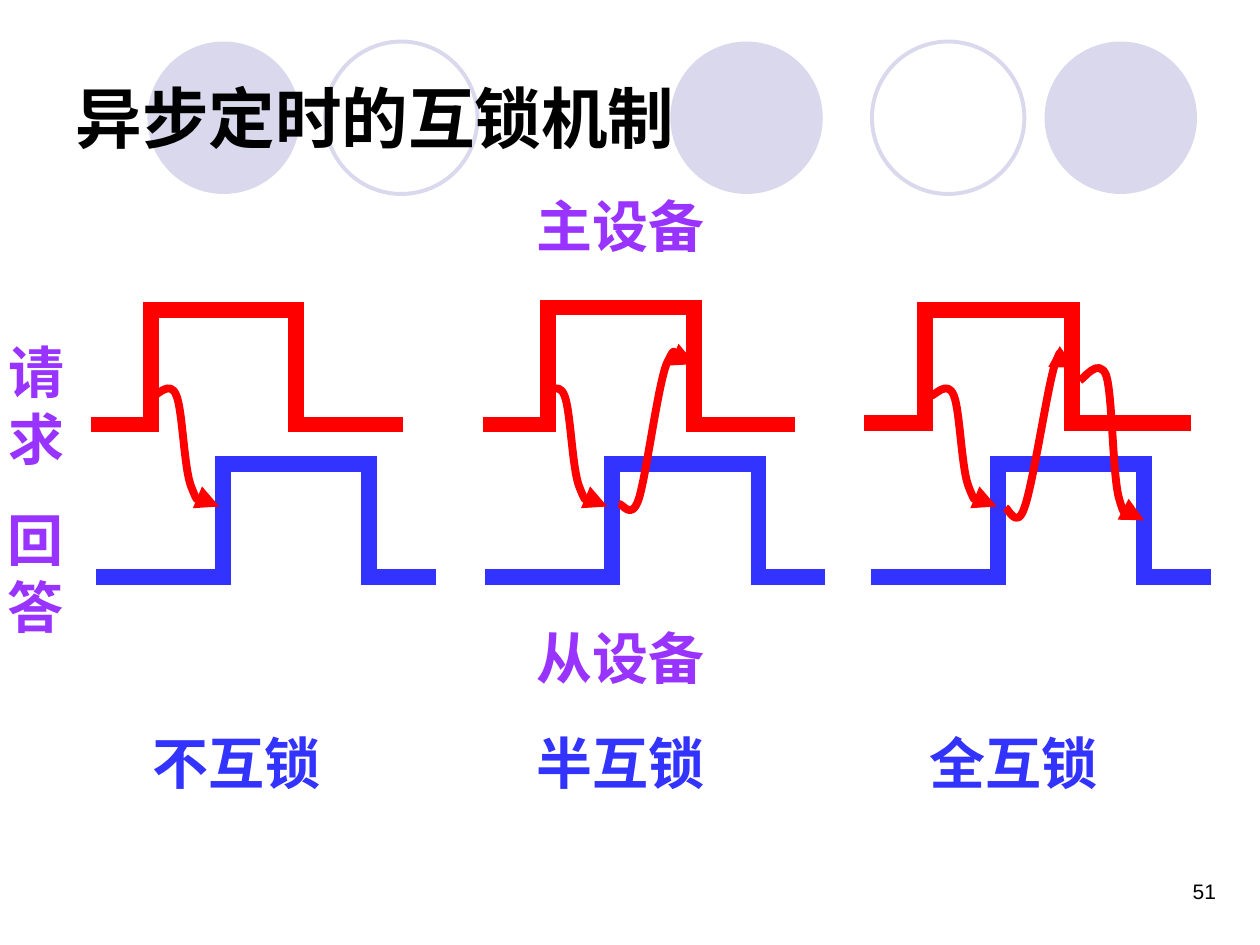
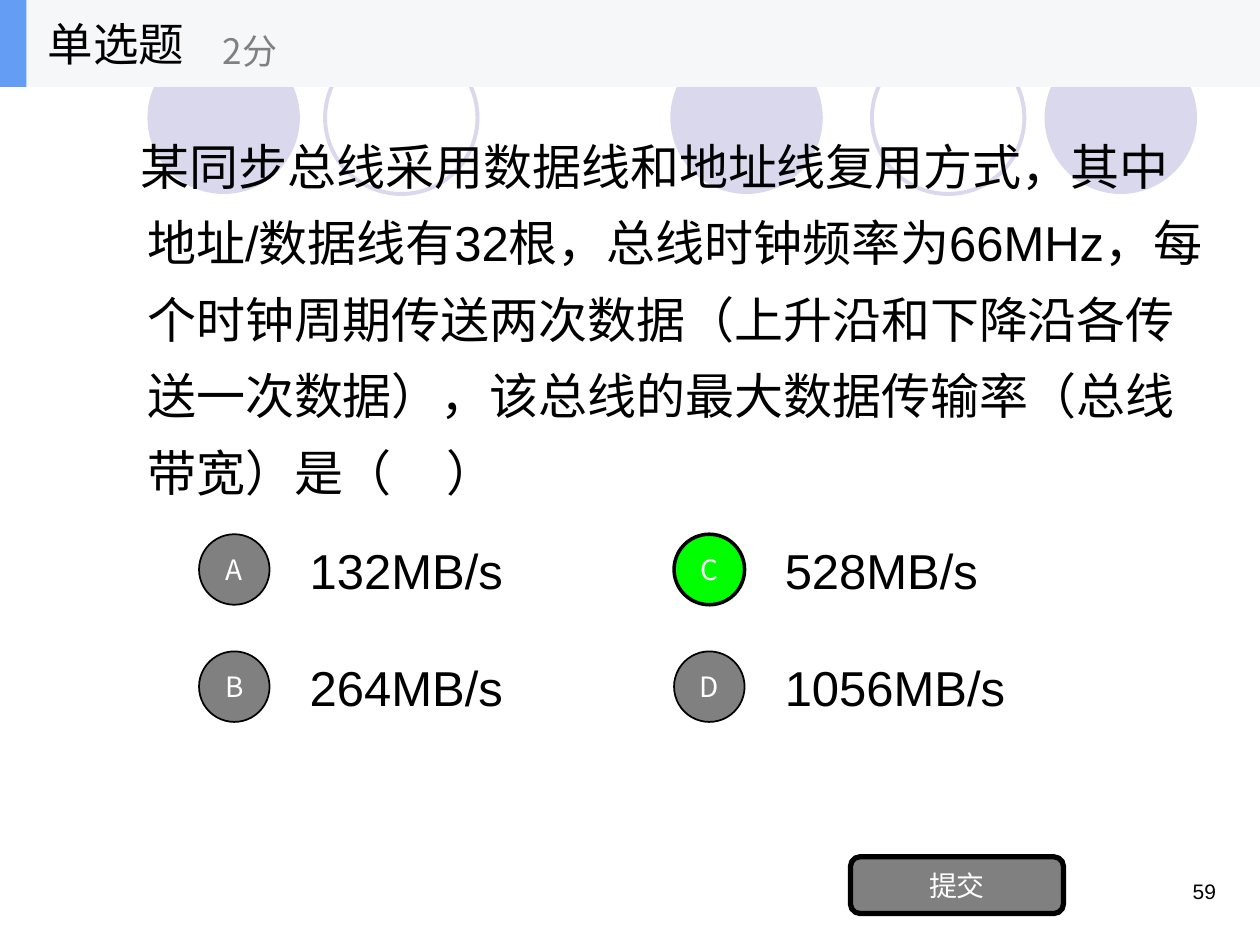
from lxml import etree
from pptx import Presentation
from pptx.dml.color import RGBColor
from pptx.enum.shapes import MSO_CONNECTOR, MSO_SHAPE
from pptx.enum.text import MSO_ANCHOR, PP_ALIGN
from pptx.oxml.ns import qn
from pptx.util import Inches, Pt

LEFT, CENTER, RIGHT = PP_ALIGN.LEFT, PP_ALIGN.CENTER, PP_ALIGN.RIGHT
TOP, MIDDLE = MSO_ANCHOR.TOP, MSO_ANCHOR.MIDDLE
STRAIGHT = MSO_CONNECTOR.STRAIGHT
OVAL, RECT, ROUNDED = MSO_SHAPE.OVAL, MSO_SHAPE.RECTANGLE, MSO_SHAPE.ROUNDED_RECTANGLE

BLACK, WHITE, GRAY, GREEN = "000000", "FFFFFF", "808080", "00FF00"
RED, BLUE, PURPLE, LILAC = "FF0000", "3333FF", "9933FF", "D9D8EC"
SANS, SERIF, CJK = "Arial", "Times New Roman", "Noto Sans CJK SC"


def rgb(value):
    return RGBColor.from_string(value)


def write(sp, text, size=28, font=SANS, color=BLACK, bold=False,
          align=LEFT, anchor=MIDDLE, wrap=True):
    tf = sp.text_frame
    tf.word_wrap = wrap
    tf.vertical_anchor = anchor
    tf.text = text
    for p in tf.paragraphs:
        p.alignment = align
        for r in p.runs:
            r.font.size = Pt(size)
            r.font.name = font
            r.font.bold = bold
            r.font.color.rgb = rgb(color)
            etree.SubElement(r.font._element, qn("a:ea"), typeface=CJK)
    return tf


prs = Presentation()
prs.slide_width, prs.slide_height = Inches(10), Inches(7.5)
lock = prs.slides.add_slide(prs.slide_layouts[5])
quiz = prs.slides.add_slide(prs.slide_layouts[6])

circles = [(1.17, True), (2.58, False), (5.32, True), (6.92, False), (8.29, True)]
for s, number in [(lock, "51"), (quiz, "59")]:
    for x, solid in circles:
        sp = s.shapes.add_shape(OVAL, Inches(x), Inches(0.33), Inches(1.21), Inches(1.21))
        sp.shadow.inherit = False
        if solid:
            sp.fill.solid()
            sp.fill.fore_color.rgb = rgb(LILAC)
            sp.line.fill.background()
        else:
            sp.fill.background()
            sp.line.color.rgb = rgb(LILAC)
            sp.line.width = Pt(2.25)
    sp = s.shapes.add_textbox(Inches(7.42), Inches(6.92), Inches(2.33), Inches(0.5))
    write(sp, number, size=12, align=RIGHT, anchor=TOP)

title = lock.shapes.title
title.left, title.top = Inches(0.5), Inches(0.3)
title.width, title.height = Inches(9), Inches(1.25)
write(title, "异步定时的互锁机制", size=38, bold=True)
lock.shapes.element.append(title.element)

labels = [
    ("不互锁", 1.11, 5.73, BLUE), ("半互锁", 4.16, 5.73, BLUE), ("全互锁", 7.28, 5.73, BLUE),
    ("主设备", 4.16, 1.47, PURPLE), ("从设备", 4.16, 4.9, PURPLE),
    ("请\n求", -0.03, 2.63, PURPLE), ("回\n答", -0.04, 3.96, PURPLE),
]
for text, x, y, color in labels:
    stacked = "\n" in text
    w, h = (0.64, 1.17) if stacked else (2.3, 0.64)
    sp = lock.shapes.add_textbox(Inches(x), Inches(y), Inches(w), Inches(h))
    write(sp, text, size=32, font=SERIF, color=color, bold=True, anchor=TOP, wrap=not stacked)

waves = [
    (RED, 0.72, 1.2, 2.35, 3.2, 2.46, 3.37),
    (RED, 3.83, 4.35, 5.51, 6.31, 2.44, 3.37),
    (RED, 6.86, 7.34, 8.51, 9.45, 2.46, 3.36),
]
for dx in (0, 3.09, 6.15):
    waves.append((BLUE, 0.76 + dx, 1.77 + dx, 2.93 + dx, 3.46 + dx, 3.68, 4.58))

half = 0.06
for color, start, rise, fall, end, high, low in waves:
    segments = [
        (start, low, rise + half, low),
        (rise, high - half, rise, low + half),
        (rise - half, high, fall + half, high),
        (fall, high - half, fall, low + half),
        (fall - half, low, end, low),
    ]
    for x1, y1, x2, y2 in segments:
        cn = lock.shapes.add_connector(STRAIGHT, Inches(x1), Inches(y1), Inches(x2), Inches(y2))
        cn.line.color.rgb = rgb(color)
        cn.line.width = Pt(9)
        etree.SubElement(cn.element.spPr, qn("a:effectLst"))

request = [(1.22, 3.14), (1.25, 3.14), (1.35, 3.01), (1.4, 3.14), (1.45, 3.26),
           (1.46, 3.73), (1.52, 3.87), (1.58, 4.02), (1.7, 3.99), (1.74, 4.02)]
curves = [[(x + dx, y) for x, y in request] for dx in (0, 3.08, 6.17)]
curves += [
    [(4.91, 4), (4.94, 3.99), (5.01, 4.14), (5.07, 3.96), (5.13, 3.77),
     (5.22, 3.07), (5.29, 2.89), (5.37, 2.72), (5.48, 2.89), (5.52, 2.89)],
    [(7.98, 4.03), (8, 4.03), (8.07, 4.21), (8.13, 4.03), (8.2, 3.84),
     (8.31, 3.09), (8.37, 2.9), (8.44, 2.72), (8.5, 2.91), (8.53, 2.92)],
    [(8.57, 3.02), (8.6, 3.01), (8.72, 2.83), (8.78, 2.98), (8.83, 3.14),
     (8.83, 3.76), (8.88, 3.95), (8.93, 4.13), (9.05, 4.06), (9.08, 4.09),
     (9.11, 4.12), (9.08, 4.12), (9.08, 4.13)],
]
for curve in curves:
    points = [(Inches(x), Inches(y)) for x, y in curve]
    builder = lock.shapes.build_freeform(*points[0])
    builder.add_line_segments(points[1:], close=False)
    sp = builder.convert_to_shape()
    sp.shadow.inherit = False
    sp.fill.background()
    sp.line.color.rgb = rgb(RED)
    sp.line.width = Pt(4.5)
    etree.SubElement(sp.element.spPr.find(qn("a:ln")), qn("a:tailEnd"), type="triangle")
    outline = next(sp.element.iter(qn("a:path")))
    steps = outline.findall(qn("a:lnTo"))
    for i in range(0, len(steps), 3):
        bezier = etree.SubElement(outline, qn("a:cubicBezTo"))
        for step in steps[i:i + 3]:
            bezier.append(step[0])
            outline.remove(step)

sp = quiz.shapes.add_textbox(Inches(0.97), Inches(0.82), Inches(8.75), Inches(3.28))
tf = write(sp, "某同步总线采用数据线和地址线复用方式，其中地址/数据线有32根，"
               "总线时钟频率为66MHz，每个时钟周期传送两次数据"
               "（上升沿和下降沿各传送一次数据），该总线的最大数据传输率"
               "（总线带宽）是（     ）")
p = tf.paragraphs[0]
p.line_spacing = 1.3
p.space_before = p.space_after = Pt(7)
pPr = p._p.get_or_add_pPr()
pPr.set("marL", str(Inches(0.1)))
pPr.set("indent", str(Inches(-0.05)))

buttons = [(ROUNDED, "提交", 6.75, 6.8, 1.69, 0.45, GRAY, 3)]
options = [("A", "132MB/s"), ("B", "264MB/s"), ("C", "528MB/s"), ("D", "1056MB/s")]
for i, (letter, answer) in enumerate(options):
    x, y = 1.58 + i // 2 * 3.77, 4.24 + i % 2 * 0.93
    fill, width = (GREEN, 2) if letter == "C" else (GRAY, 1)
    buttons.append((OVAL, letter, x, y, 0.56, 0.56, fill, width))
    sp = quiz.shapes.add_textbox(Inches(x + 0.78), Inches(y - 0.07), Inches(2.25), Inches(0.7))
    write(sp, answer)

for kind, text, x, y, w, h, fill, width in buttons:
    sp = quiz.shapes.add_shape(kind, Inches(x), Inches(y), Inches(w), Inches(h))
    sp.shadow.inherit = False
    sp.fill.solid()
    sp.fill.fore_color.rgb = rgb(fill)
    sp.line.color.rgb = rgb(BLACK)
    sp.line.width = Pt(width)
    write(sp, text, size=16, font=CJK, color=WHITE, align=CENTER)

for w, fill in [(10, "F6F7F8"), (0.21, "639EF4")]:
    sp = quiz.shapes.add_shape(RECT, 0, 0, Inches(w), Inches(0.69))
    sp.shadow.inherit = False
    sp.fill.solid()
    sp.fill.fore_color.rgb = rgb(fill)
    sp.line.fill.background()

headings = [("单选题", 0.28, 0, 2.08, 0.69, 26, BLACK), ("2分", 1.67, 0.12, 2.5, 0.56, 20, GRAY)]
for text, x, y, w, h, size, color in headings:
    sp = quiz.shapes.add_textbox(Inches(x), Inches(y), Inches(w), Inches(h))
    write(sp, text, size=size, font=CJK, color=color)

prs.save("out.pptx")
